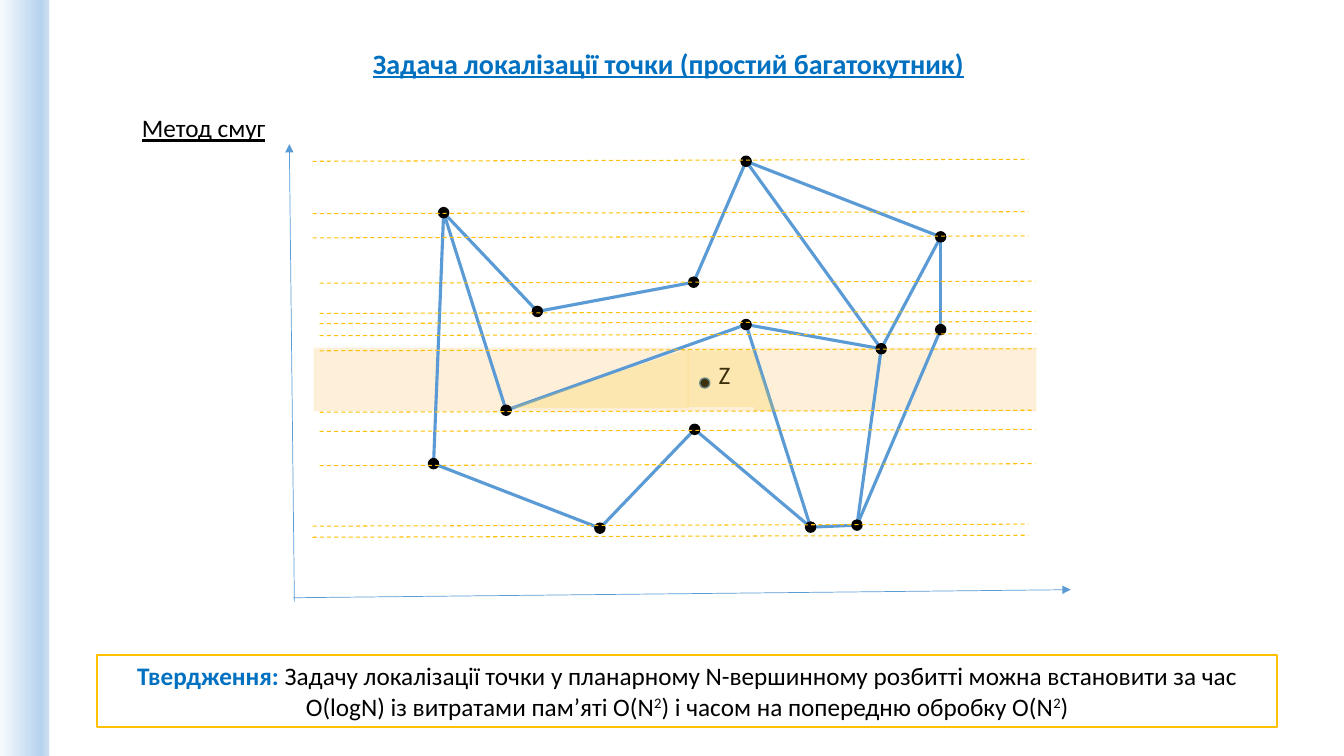
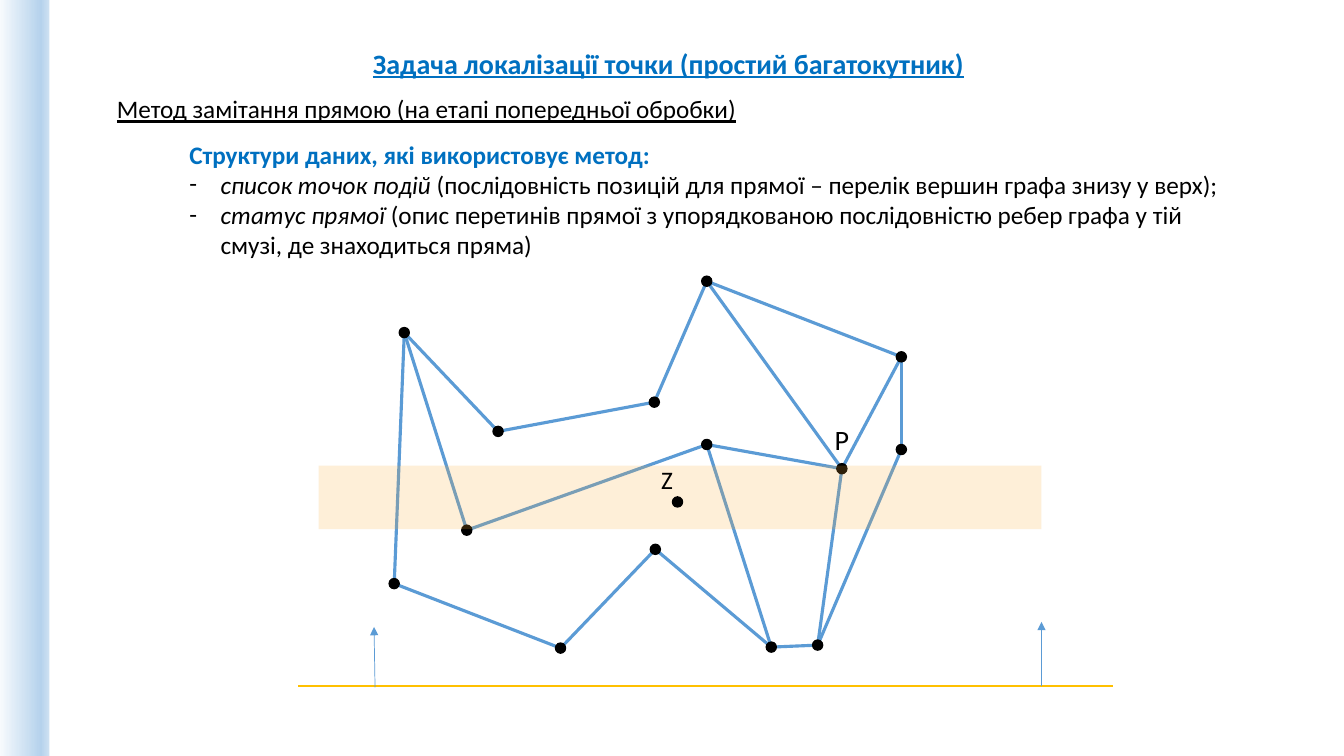
from copy import deepcopy

from pptx import Presentation
from pptx.dml.color import RGBColor
from pptx.enum.dml import MSO_LINE
from pptx.enum.shapes import MSO_CONNECTOR, MSO_SHAPE as SHAPE
from pptx.enum.text import MSO_ANCHOR, MSO_AUTO_SIZE as AUTO_SIZE, PP_ALIGN
from pptx.oxml.ns import qn
from pptx.util import Inches, Pt
from lxml.etree import SubElement

FONT = "Calibri"
ACCENT, BLACK = "0070C0", "000000"
EDGE, GOLD = "5B9BD5", "FFC000"
BAND, REGION = "FDAB33", "F9CF37"
DOT = 0.1
rgb = RGBColor.from_string


def add_item(slide, preset, box, fill=None, alpha=None, line=None, width=1,
             paragraphs=(), wrap=True, align=PP_ALIGN.LEFT):
    """Add a preset shape, or a text box if preset is None.

    A paragraph is (bullet, runs); a run is (text, size, colour, font flags).
    """
    box = [Inches(v) for v in box]
    if preset is None:
        item = slide.shapes.add_textbox(*box)
    else:
        item = slide.shapes.add_shape(preset, *box)
        item.shadow.inherit = False
        if fill:
            item.fill.solid()
            item.fill.fore_color.rgb = rgb(fill)
        else:
            item.fill.background()
        if alpha:
            colour = item._element.spPr.find(qn("a:solidFill"))[0]
            SubElement(colour, qn("a:alpha")).set("val", str(alpha * 1000))
        if line:
            item.line.color.rgb = rgb(line)
            item.line.width = Pt(width)
        else:
            item.line.fill.background()
    if not paragraphs:
        return item

    frame = item.text_frame
    frame.word_wrap = wrap
    frame.auto_size = AUTO_SIZE.SHAPE_TO_FIT_TEXT
    frame.vertical_anchor = MSO_ANCHOR.TOP if preset is None else MSO_ANCHOR.MIDDLE
    for index, (bullet, runs) in enumerate(paragraphs):
        paragraph = frame.add_paragraph() if index else frame.paragraphs[0]
        paragraph.alignment = align
        if bullet:
            props = paragraph._p.get_or_add_pPr()
            props.set("marL", str(Inches(0.31)))
            props.set("indent", str(-Inches(0.31)))
            SubElement(props, qn("a:buFont")).set("typeface", FONT)
            SubElement(props, qn("a:buChar")).set("char", bullet)
        for text, size, colour, flags in runs:
            run = paragraph.add_run()
            run.text = text
            run.font.name = FONT
            run.font.size = Pt(size)
            run.font.color.rgb = rgb(colour)
            run.font.bold = "b" in flags
            run.font.italic = "i" in flags
            run.font.underline = "u" in flags
            if "^" in flags:
                run.font._element.set("baseline", "30000")
    return item


def add_line(slide, start, end, colour, width, dashed=False, arrow=False):
    ends = [Inches(v) for v in (*start, *end)]
    connector = slide.shapes.add_connector(MSO_CONNECTOR.STRAIGHT, *ends)
    connector.line.color.rgb = rgb(colour)
    connector.line.width = Pt(width)
    if dashed:
        connector.line.dash_style = MSO_LINE.DASH
    if arrow:
        SubElement(connector.line._get_or_add_ln(), qn("a:tailEnd")).set("type", "triangle")
    SubElement(connector._element.spPr, qn("a:effectLst"))


# Graph vertices (dot centres) and the edges between them
VERTICES = {
    "left_top": (4.4, 2.11), "left_notch": (5.33, 3.09), "left_low": (4.3, 4.6),
    "inner_left": (5.02, 4.07), "mid_top": (6.88, 2.8), "peak": (7.4, 1.6),
    "right_top": (9.33, 2.35), "right_low": (9.33, 3.27), "inner_right": (8.74, 3.46),
    "inner_peak": (7.4, 3.22), "mid_low": (6.89, 4.26), "bottom_left": (5.95, 5.24),
    "bottom_mid": (8.04, 5.23), "bottom_right": (8.5, 5.21),
}
OUTLINE = ["left_top", "left_notch", "mid_top", "peak", "right_top", "right_low",
           "bottom_right", "bottom_mid", "mid_low", "bottom_left", "left_low"]
EDGES = list(zip(OUTLINE, OUTLINE[1:] + OUTLINE[:1])) + [
    ("left_top", "inner_left"), ("inner_left", "inner_peak"),
    ("inner_peak", "inner_right"), ("inner_peak", "bottom_mid"),
    ("peak", "inner_right"), ("right_top", "inner_right"),
    ("inner_right", "bottom_right"),
]

deck = Presentation()
deck.slide_width, deck.slide_height = Inches(13.33), Inches(7.5)
slabs, sweep = [deck.slides.add_slide(deck.slide_layouts[6]) for _ in range(2)]

# The slab lies below the graph on the first slide
add_item(slabs, SHAPE.RECTANGLE, (3.11, 3.45, 7.17, 0.63), BAND, 19)

# Shared parts: side strip, title and graph
for slide, dx, dy in ((slabs, 0, 0), (sweep, -0.39, 1.19)):
    strip = add_item(slide, SHAPE.RECTANGLE, (0, 0, 0.49, 7.5))
    strip.fill.gradient()
    strip.fill.gradient_angle = 0
    stop_list = strip._element.spPr.find(qn("a:gradFill")).find(qn("a:gsLst"))
    stop_list.insert(1, deepcopy(stop_list[0]))
    shades = ((0, "F7FAFD"), (0.83, "B5D2EC"), (1, "CEE1F2"))
    for stop, (position, shade) in zip(strip.fill.gradient_stops, shades):
        stop.position = position
        stop.color.rgb = rgb(shade)

    add_item(slide, None, (3.6, 0.41, 6.1, 0.44), wrap=False, paragraphs=[
        ("", [("Задача локалізації точки (простий багатокутник)", 20, ACCENT, "bu")])])

    placed = {name: (x + dx, y + dy) for name, (x, y) in VERTICES.items()}
    for start, end in EDGES:
        add_line(slide, placed[start], placed[end], EDGE, 2.25)
    for x, y in placed.values():
        add_item(slide, SHAPE.OVAL, (x - DOT / 2, y - DOT / 2, DOT, DOT), BLACK, line=BLACK)

# Slide 1: slab method
add_item(slabs, None, (1.31, 1.07, 2.6, 0.4),
         paragraphs=[("", [("Метод смуг", 18, BLACK, "u")])])

SLAB_LEVELS = (
    (3.1, (1.6, 2.12, 2.36, 5.22, 5.33)),
    (3.17, (2.81, 3.11, 3.21, 3.33, 3.48, 4.09, 4.28, 4.62)),
)
for left, levels in SLAB_LEVELS:
    for y in levels:
        add_line(slabs, (left, y), (left + 7.1, y - 0.02), GOLD, 0.75, dashed=True)

add_line(slabs, (2.91, 5.93), (10.62, 5.85), EDGE, 0.5, arrow=True)
add_line(slabs, (2.92, 5.97), (2.87, 1.43), EDGE, 0.5, arrow=True)

add_item(slabs, SHAPE.OVAL, (6.94, 3.75, DOT, DOT), BLACK, line="43739E")
add_item(slabs, None, (7.03, 3.52, 0.49, 0.4), paragraphs=[("", [("Z", 18, BLACK, "")])])

add_item(slabs, SHAPE.RIGHT_TRIANGLE, (7.48, 3.51, 0.21, 0.57), REGION, 24)
left_wedge = add_item(slabs, SHAPE.RIGHT_TRIANGLE, (5.05, 3.46, 1.78, 0.59), REGION, 24)
left_wedge._element.spPr.find(qn("a:xfrm")).set("flipH", "1")
add_item(slabs, SHAPE.RECTANGLE, (6.82, 3.48, 0.66, 0.56), REGION, 24)

add_item(slabs, SHAPE.RECTANGLE, (0.96, 6.5, 11.71, 0.71), line=GOLD, width=1.5,
         align=PP_ALIGN.CENTER, paragraphs=[("", [
             ("Твердження: ", 18, ACCENT, "b"),
             ("Задачу локалізації точки у планарному N-вершинному розбитті можна "
              "встановити за час О(logN) із витратами пам’яті О(N", 18, BLACK, ""),
             ("2", 18, BLACK, "^"),
             (") і часом на попередню обробку О(N", 18, BLACK, ""),
             ("2", 18, BLACK, "^"),
             (")", 18, BLACK, ""),
         ])])

# Slide 2: sweep line method
add_item(sweep, None, (1.06, 0.88, 6.42, 0.4), wrap=False, paragraphs=[
    ("", [("Метод замітання прямою (на етапі попередньої обробки)", 18, BLACK, "u")])])
add_item(sweep, None, (1.78, 1.33, 10.56, 1.62), paragraphs=[
    ("", [("Структури даних, які використовує метод:", 18, ACCENT, "b")]),
    ("-", [("список точок подій ", 18, BLACK, "i"),
           ("(послідовність позицій для прямої – перелік вершин графа знизу у верх);",
            18, BLACK, "")]),
    ("-", [("статус прямої ", 18, BLACK, "i"),
           ("(опис перетинів прямої з упорядкованою послідовністю ребер графа у тій "
            "смузі, де знаходиться пряма)", 18, BLACK, "")]),
])

add_item(sweep, SHAPE.RECTANGLE, (3.16, 4.62, 7.17, 0.63), BAND, 19)
add_item(sweep, SHAPE.OVAL, (6.67, 4.93, DOT, DOT), BLACK, line=BLACK)
add_item(sweep, None, (6.46, 4.56, 0.49, 0.4), paragraphs=[("", [("Z", 18, BLACK, "")])])
add_item(sweep, None, (8.18, 4.14, 0.49, 0.44), paragraphs=[("", [("P", 20, BLACK, "")])])

add_line(sweep, (2.96, 6.81), (11.04, 6.81), GOLD, 1.5)
add_line(sweep, (3.72, 6.82), (3.71, 6.22), EDGE, 0.5, arrow=True)
add_line(sweep, (10.33, 6.81), (10.33, 6.17), EDGE, 0.5, arrow=True)

deck.save("out.pptx")
